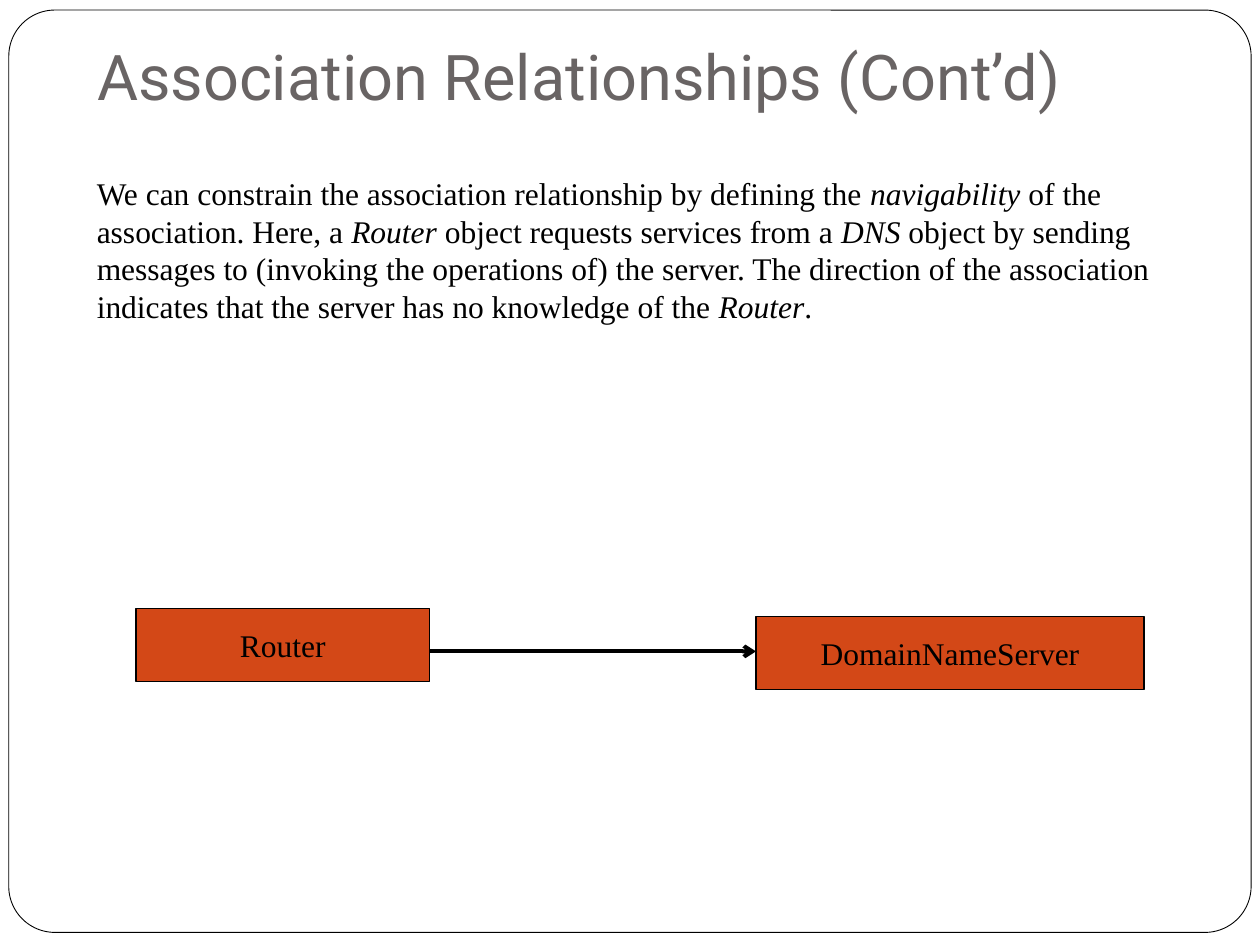
from lxml.etree import SubElement
from pptx import Presentation
from pptx.dml.color import RGBColor
from pptx.enum.shapes import MSO_CONNECTOR, MSO_SHAPE
from pptx.enum.text import MSO_ANCHOR, PP_ALIGN
from pptx.oxml.ns import qn
from pptx.util import Inches, Pt

BLACK = RGBColor(0x00, 0x00, 0x00)
WHITE = RGBColor(0xFF, 0xFF, 0xFF)
GRAY = RGBColor(0x69, 0x64, 0x64)
ORANGE = RGBColor(0xD3, 0x48, 0x17)

# Content: body runs are (text, italic)
TITLE = "Association Relationships (Cont’d)"
BODY = [
    ("We can constrain the association relationship by defining the ", False),
    ("navigability", True),
    (" of the association. Here, a ", False),
    ("Router", True),
    (" object requests services from a ", False),
    ("DNS", True),
    (" object by sending messages to (invoking the operations of) the server. "
     "The direction of the association indicates that the server has no "
     "knowledge of the ", False),
    ("Router", True),
    (".", False),
]
CLASSES = [  # name, (left, top, width, height)
    ("Router", (1.08, 4.83, 2.33, 0.58)),
    ("DomainNameServer", (6, 4.89, 3.08, 0.58)),
]
ARROW_Y = 5.17


def box(*lengths):
    return [Inches(v) for v in lengths]


def write(tf, runs, size=18, font="Times New Roman", color=BLACK,
          align=PP_ALIGN.LEFT, anchor=MSO_ANCHOR.TOP, wrap=True):
    tf.word_wrap = wrap
    tf.vertical_anchor = anchor
    p = tf.paragraphs[0]
    p.alignment = align
    for text, italic in runs:
        r = p.add_run()
        r.text = text
        r.font.name, r.font.size = font, Pt(size)
        r.font.italic = italic
        r.font.color.rgb = color


def add_box(s, preset, place, fill, weight):
    sp = s.shapes.add_shape(preset, *box(*place))
    sp.shadow.inherit = False
    sp.fill.solid()
    sp.fill.fore_color.rgb = fill
    sp.line.color.rgb = BLACK
    sp.line.width = Pt(weight)
    return sp


def add_arrow(s, x1, x2, y):
    line = s.shapes.add_connector(MSO_CONNECTOR.STRAIGHT, *box(x1, y, x2, y))
    line.line.color.rgb = BLACK
    line.line.width = Pt(2.25)
    SubElement(line.line._get_or_add_ln(), qn("a:tailEnd"), type="arrow")
    SubElement(line._element.spPr, qn("a:effectLst"))


def main():
    prs = Presentation()
    prs.slide_width, prs.slide_height = box(10, 7.5)
    s = prs.slides.add_slide(prs.slide_layouts[5])

    # Rounded frame behind everything
    frame = add_box(s, MSO_SHAPE.ROUNDED_RECTANGLE,
                    (0.07, 0.08, 9.86, 7.32), WHITE, 0.5)
    frame.adjustments[0] = 0.05
    s.shapes._spTree.insert(2, frame._element)

    # Title
    title = s.shapes.title
    title.left, title.top, title.width, title.height = box(0.67, 0.42, 8.83, 0.58)
    title.text_frame.margin_bottom = Inches(0.1)
    write(title.text_frame, [(TITLE, False)], size=36, font="Roboto",
          color=GRAY, anchor=MSO_ANCHOR.BOTTOM)

    # Explanation
    body = s.shapes.add_textbox(*box(0.67, 1.33, 8.87, 2.1))
    write(body.text_frame, BODY)

    # Class diagram: arrow from the first class to the second
    (_, source), (_, target) = CLASSES
    add_arrow(s, source[0] + source[2], target[0], ARROW_Y)
    for name, place in CLASSES:
        sp = add_box(s, MSO_SHAPE.RECTANGLE, place, ORANGE, 0.75)
        write(sp.text_frame, [(name, False)], align=PP_ALIGN.CENTER,
              anchor=MSO_ANCHOR.MIDDLE, wrap=False)

    prs.save("out.pptx")


if __name__ == "__main__":
    main()
